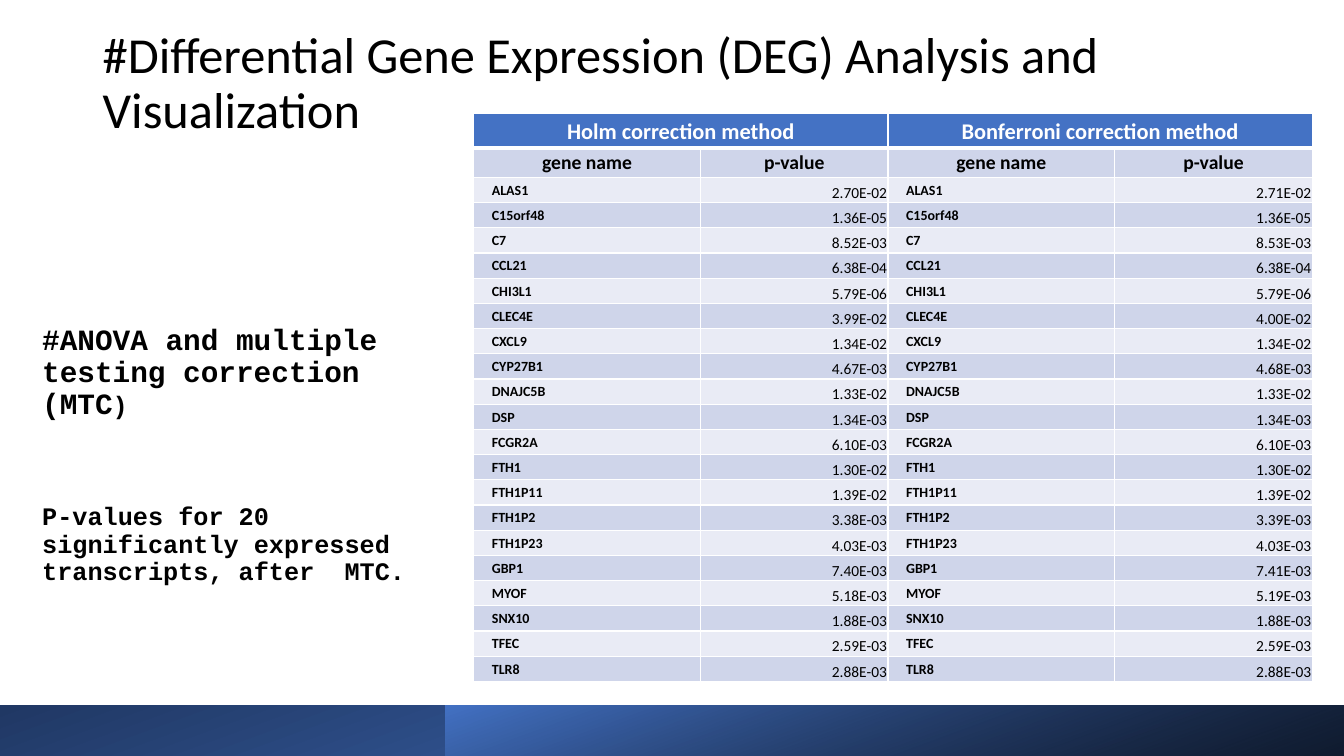
from pptx import Presentation
from pptx import util as u
from pptx.dml.color import RGBColor
from pptx.enum import shapes, text
from pptx.oxml.ns import qn
from lxml import etree

COLOURS = {
    "blue": "4472C4", "navy": "203864", "black": "000000", "white": "FFFFFF",
    "stripe": "CFD5EA", "pale": "E9EBF5",
}
WIDTH, HEIGHT = u.Inches(13.333), u.Inches(7.5)
COLUMN, ROW = WIDTH / 40, HEIGHT / 30
CENTRE, LEFT, RIGHT = text.PP_ALIGN.CENTER, text.PP_ALIGN.LEFT, text.PP_ALIGN.RIGHT
MIDDLE, BOTTOM = text.MSO_ANCHOR.MIDDLE, text.MSO_ANCHOR.BOTTOM

TITLE_FONT = {"name": "Calibri", "size": u.Pt(36)}
HEADING_FONT = {"name": "Courier New", "size": u.Pt(21), "bold": True}
NOTE_FONT = {**HEADING_FONT, "size": u.Pt(18)}
METHOD_FONT = {"name": "Calibri", "size": u.Pt(16), "bold": True}
LABEL_FONT = {**METHOD_FONT, "size": u.Pt(14)}
GENE_FONT = {**METHOD_FONT, "size": u.Pt(10)}
VALUE_FONT = {"name": "Calibri", "size": u.Pt(11), "bold": False}

METHODS = ["Holm correction method", "Bonferroni correction method"]
LABELS = ["gene name", "p-value"]
COLUMN_SPANS = [6.75, 5.58, 6.75, 5.88]
HEADER_SPANS = [1.36, 1.16]
GENES = [
    ("ALAS1", "2.70E-02", "2.71E-02"),
    ("C15orf48", "1.36E-05", "1.36E-05"),
    ("C7", "8.52E-03", "8.53E-03"),
    ("CCL21", "6.38E-04", "6.38E-04"),
    ("CHI3L1", "5.79E-06", "5.79E-06"),
    ("CLEC4E", "3.99E-02", "4.00E-02"),
    ("CXCL9", "1.34E-02", "1.34E-02"),
    ("CYP27B1", "4.67E-03", "4.68E-03"),
    ("DNAJC5B", "1.33E-02", "1.33E-02"),
    ("DSP", "1.34E-03", "1.34E-03"),
    ("FCGR2A", "6.10E-03", "6.10E-03"),
    ("FTH1", "1.30E-02", "1.30E-02"),
    ("FTH1P11", "1.39E-02", "1.39E-02"),
    ("FTH1P2", "3.38E-03", "3.39E-03"),
    ("FTH1P23", "4.03E-03", "4.03E-03"),
    ("GBP1", "7.40E-03", "7.41E-03"),
    ("MYOF", "5.18E-03", "5.19E-03"),
    ("SNX10", "1.88E-03", "1.88E-03"),
    ("TFEC", "2.59E-03", "2.59E-03"),
    ("TLR8", "2.88E-03", "2.88E-03"),
]


def place(left, top, columns, rows):
    return [round(left * COLUMN), round(top * ROW), round(columns * COLUMN), round(rows * ROW)]


def colour(name):
    return RGBColor.from_string(COLOURS[name])


def apply(target, values):
    for name, value in values.items():
        setattr(target, name, value)


def add_span(para, words, font, ink="black"):
    span = para.add_run()
    span.text = words
    apply(span.font, font)
    span.font.color.rgb = colour(ink)


def add_band(page, area, start, end, opacity=100):
    band = page.shapes.add_shape(shapes.MSO_SHAPE.RECTANGLE, *place(*area))
    band.shadow.inherit = False
    band.line.fill.background()
    band.fill.gradient()
    band.fill.gradient_angle = 110
    for stop, name in zip(band.fill.gradient_stops, (start, end)):
        stop.color.rgb = colour(name)
    if opacity < 100:
        first = next(band._element.iter(qn("a:srgbClr")))
        etree.SubElement(first, qn("a:alpha"), val=str(opacity * 1000))


def add_text(page, area, spans):
    box = page.shapes.add_textbox(*place(*area))
    apply(box.text_frame, {"word_wrap": True, "vertical_anchor": BOTTOM})
    para = box.text_frame.paragraphs[0]
    para.line_spacing = 0.9
    for words, font in spans:
        add_span(para, words, font)


def add_borders(cell, bottom):
    properties = cell._tc.get_or_add_tcPr()
    widths = {"a:lnL": 1, "a:lnR": 1, "a:lnT": 1, "a:lnB": bottom}
    for index, (tag, points) in enumerate(widths.items()):
        line = etree.Element(qn(tag), w=str(u.Pt(points)))
        fill = etree.SubElement(line, qn("a:solidFill"))
        etree.SubElement(fill, qn("a:srgbClr"), val=COLOURS["white"])
        properties.insert(index, line)


def fill_cell(cell, words, font, fill, align=CENTRE, anchor=MIDDLE,
              indent=0.01, ink="black", bottom=1):
    edge = u.Inches(0.01)
    apply(cell, {"margin_left": u.Inches(indent), "margin_right": edge,
                 "margin_top": edge, "margin_bottom": 0, "vertical_anchor": anchor})
    cell.fill.solid()
    cell.fill.fore_color.rgb = colour(fill)
    para = cell.text_frame.paragraphs[0]
    para.alignment = align
    if words:
        add_span(para, words, font, ink)
    add_borders(cell, bottom)


def add_gene_table(page, area):
    row_spans = HEADER_SPANS + [1] * len(GENES)
    table = page.shapes.add_table(len(row_spans), len(COLUMN_SPANS), *place(*area)).table
    for column, share in zip(table.columns, COLUMN_SPANS):
        column.width = round(share * COLUMN)
    for row, share in zip(table.rows, row_spans):
        row.height = round(share * ROW)
    for half, method in enumerate(METHODS):
        name_column, value_column = 2 * half, 2 * half + 1
        for column, words in ((name_column, method), (value_column, "")):
            fill_cell(table.cell(0, column), words, METHOD_FONT, "blue", ink="white", bottom=3)
        table.cell(0, name_column).merge(table.cell(0, value_column))
        for offset, label in enumerate(LABELS):
            fill_cell(table.cell(1, name_column + offset), label, LABEL_FONT, "stripe")
        for row, (gene, *values) in enumerate(GENES, start=2):
            fill = "stripe" if row % 2 else "pale"
            fill_cell(table.cell(row, name_column), gene, GENE_FONT, fill, LEFT, indent=0.18)
            fill_cell(table.cell(row, value_column), values[half], VALUE_FONT, fill, RIGHT, BOTTOM)


def main():
    deck = Presentation()
    apply(deck, {"slide_width": WIDTH, "slide_height": HEIGHT})
    page = deck.slides.add_slide(deck.slide_layouts[6])
    add_band(page, (0, 28, 40, 2), "blue", "navy")
    add_band(page, (13.26, 28, 26.74, 2), "black", "blue", opacity=76)
    add_text(page, (0.96, 9.24, 11.55, 7.64),
             [("#ANOVA and multiple testing correction (MTC", HEADING_FONT), (")", NOTE_FONT)])
    add_text(page, (0.96, 18.08, 11.55, 5.36),
             [("P-values for 20 significantly expressed transcripts, after  MTC.", NOTE_FONT)])
    add_text(page, (2.76, 0.36, 34.29, 5.36),
             [("#Differential Gene Expression (DEG) Analysis and Visualization", TITLE_FONT)])
    add_gene_table(page, (14.1, 4.52, 24.96, 22.52))
    deck.save("out.pptx")


if __name__ == "__main__":
    main()
